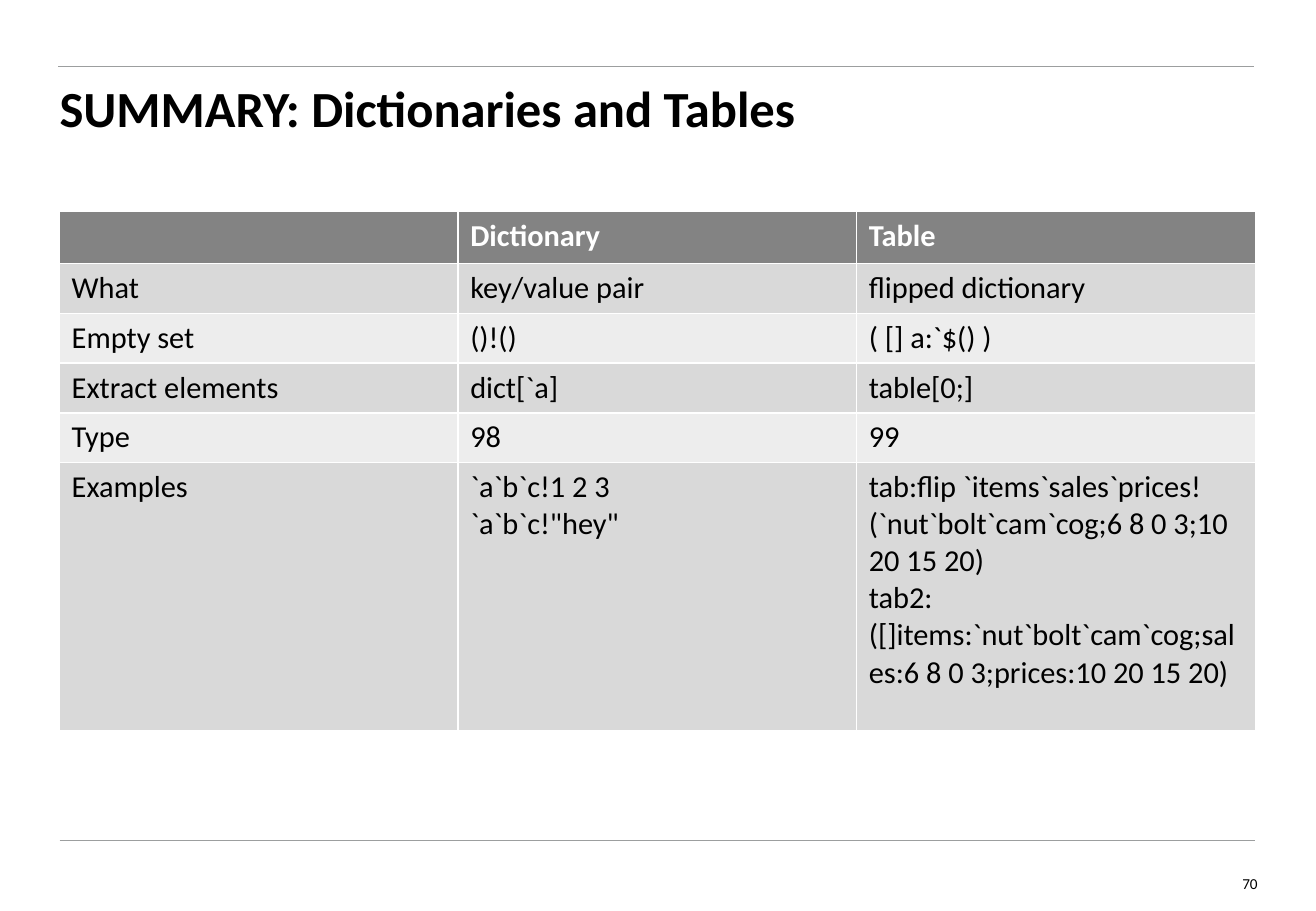
import pptx
import pptx.dml.color
import pptx.enum.shapes
import pptx.enum.text
import pptx.oxml
import pptx.oxml.ns
import pptx.util
from dataclasses import dataclass

Inches = pptx.util.Inches
Pt = pptx.util.Pt
Align = pptx.enum.text.PP_ALIGN
Anchor = pptx.enum.text.MSO_ANCHOR


@dataclass(frozen=True)
class Theme:
    font: str = "Calibri"
    text: str = "000000"
    header_text: str = "FFFFFF"
    header_fill: str = "838383"
    bands: tuple = ("D9D9D9", "EDEDED")
    rule: str = "9C9E9F"
    title_size: int = 30
    table_size: int = 18
    number_size: int = 9


THEME = Theme()
LEFT, WIDTH = 0.49, 9.84
ROW_HEIGHTS = (0.43, 0.41, 0.41, 0.41, 0.41, 2.21)
SUMMARY = (
    ("", "Dictionary", "Table"),
    ("What", "key/value pair", "flipped dictionary"),
    ("Empty set", "()!()", "( [] a:`$() )"),
    ("Extract elements", "dict[`a]", "table[0;]"),
    ("Type", "98", "99"),
    (
        "Examples",
        "`a`b`c!1 2 3\n`a`b`c!\"hey\"",
        "tab:flip `items`sales`prices!(`nut`bolt`cam`cog;6 8 0 3;10 20 15 20)\n"
        "tab2:([]items:`nut`bolt`cam`cog;sales:6 8 0 3;prices:10 20 15 20)",
    ),
)


def rgb(value):
    return pptx.dml.color.RGBColor.from_string(value)


def write(frame, text, size, color=THEME.text, bold=False, align=Align.LEFT):
    frame.text = text
    for paragraph in frame.paragraphs:
        paragraph.alignment = align
        paragraph.font.name = THEME.font
        paragraph.font.size = Pt(size)
        paragraph.font.bold = bold
        paragraph.font.color.rgb = rgb(color)


def prepare_frame(frame, anchor):
    frame.margin_left = frame.margin_right = 0
    frame.margin_top = frame.margin_bottom = 0
    frame.word_wrap = True
    frame.auto_size = pptx.enum.text.MSO_AUTO_SIZE.NONE
    frame.vertical_anchor = anchor


def add_rule(slide, left, top):
    rule = slide.shapes.add_connector(
        pptx.enum.shapes.MSO_CONNECTOR.STRAIGHT,
        Inches(left), Inches(top), Inches(left + WIDTH), Inches(top))
    rule.line.color.rgb = rgb(THEME.rule)
    rule.line.width = Pt(0.5)
    properties = rule._element.spPr
    properties.append(pptx.oxml.parse_xml(
        "<a:effectLst %s/>" % pptx.oxml.ns.nsdecls("a")))


def place_title(slide, text):
    title = slide.shapes.title
    title.left, title.top = Inches(LEFT), Inches(0.69)
    title.width, title.height = Inches(WIDTH), Inches(0.89)
    prepare_frame(title.text_frame, Anchor.TOP)
    write(title.text_frame, text, THEME.title_size, bold=True)
    title.text_frame.paragraphs[0].line_spacing = 0.9


def add_summary_table(slide, rows):
    # The default table style supplies the white grid and thick header rule
    table = slide.shapes.add_table(
        len(rows), len(rows[0]), Inches(LEFT), Inches(1.74),
        Inches(WIDTH), Inches(sum(ROW_HEIGHTS))).table
    for column in table.columns:
        column.width = Inches(WIDTH / len(rows[0]))
    for row_index, entries in enumerate(rows):
        table.rows[row_index].height = Inches(ROW_HEIGHTS[row_index])
        header = row_index == 0
        fill = THEME.header_fill if header else THEME.bands[(row_index - 1) % 2]
        color = THEME.header_text if header else THEME.text
        for column_index, entry in enumerate(entries):
            cell = table.cell(row_index, column_index)
            cell.fill.solid()
            cell.fill.fore_color.rgb = rgb(fill)
            write(cell.text_frame, entry, THEME.table_size, color, bold=header)


def add_page_number(slide, number):
    page = slide.shapes.add_textbox(
        Inches(9.9), Inches(7.21), Inches(0.45), Inches(0.12))
    prepare_frame(page.text_frame, Anchor.MIDDLE)
    write(page.text_frame, number, THEME.number_size, align=Align.RIGHT)


def main():
    deck = pptx.Presentation()
    deck.slide_width, deck.slide_height = Inches(10.83), Inches(7.5)
    slide = deck.slides.add_slide(deck.slide_layouts[5])

    # Frame lines
    add_rule(slide, LEFT, 6.92)
    add_rule(slide, 0.48, 0.55)

    # Content
    place_title(slide, "SUMMARY: Dictionaries and Tables")
    add_summary_table(slide, SUMMARY)
    add_page_number(slide, "70")

    deck.save("out.pptx")


if __name__ == "__main__":
    main()
